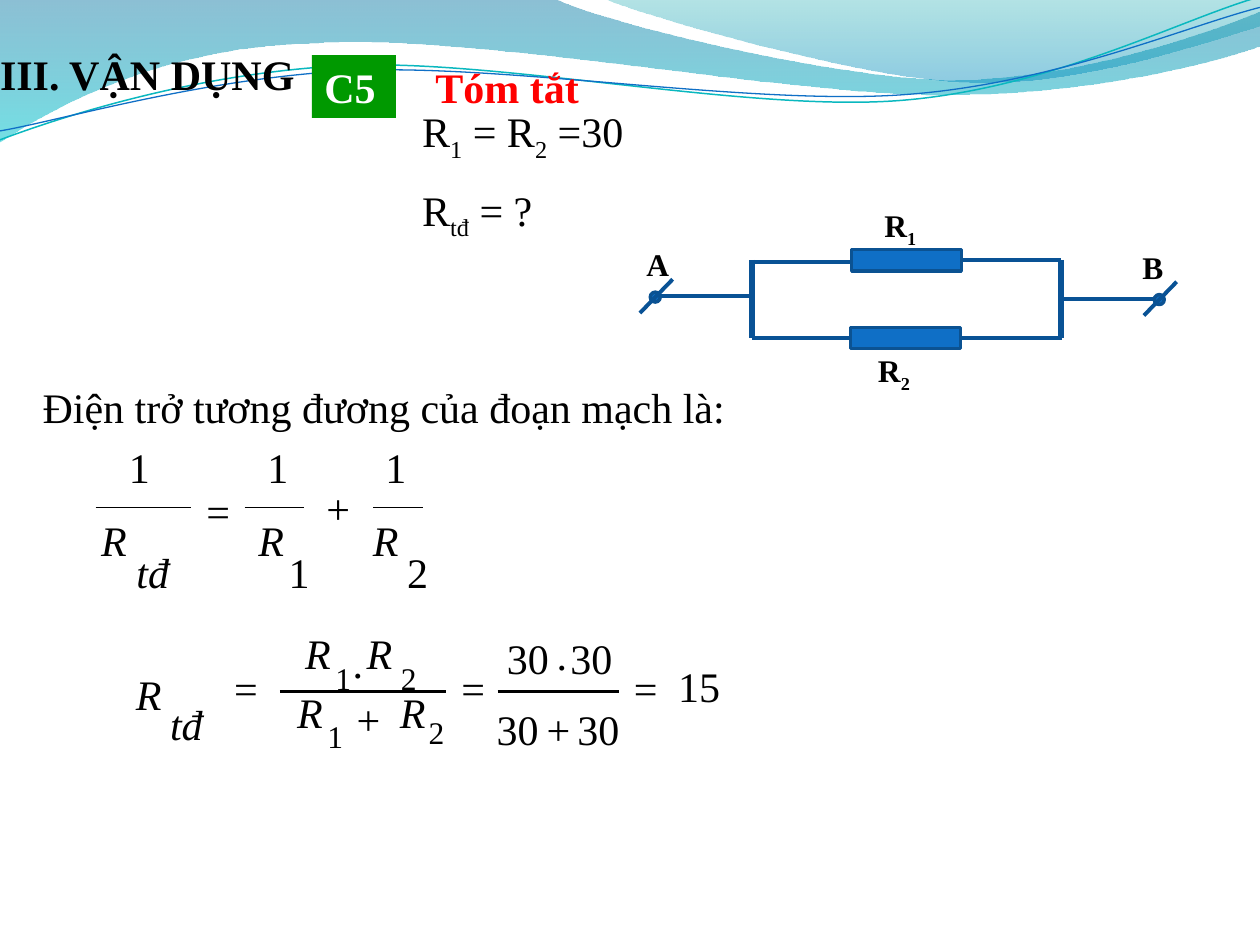
import pptx
import pptx.util
import pptx.dml.color
import pptx.enum.shapes
import pptx.enum.text
import pptx.oxml.ns
from lxml import etree
from pptx.util import Cm, Pt

FONT = "Times New Roman"
BLACK, WHITE, RED, GREEN = "000000", "FFFFFF", "FF0000", "009900"
BLUE, WIRE, OUTLINE = "0F6FC6", "095295", "0B5292"

# Wave outlines in cm: a start point, then line ends (one point) or curves (three points)
FILLED_WAVES = [
    ([[(0, 0)], [(11.18, -0.03)],
      [(12.09, 0.43), (16.87, 1.6), (19.25, 1.6)],
      [(21.67, 1.6), (24.33, 0.66), (25.4, 0.23)], [(25.43, 0.91)],
      [(24.97, 1.12), (22.1, 1.93), (18.95, 1.91)],
      [(15.8, 1.91), (9.7, 0.71), (6.53, 0.86)],
      [(3.28, 0.91), (1.17, 2.11), (-0.03, 2.87)]],
     [("0074A1", 45), ("00C6CF", 55)]),
    ([[(12.17, -0.03)],
      [(12.93, 0.3), (17.32, 1.57), (19.53, 1.65)],
      [(21.74, 1.75), (24.41, 0.81), (25.4, 0.53)], [(25.4, 0)]],
     [("00A1A9", 30), ("008BBF", 45)]),
]
LINE_WAVES = [
    ([[(0, 2.82)], [(1.22, 2.36), (4.01, 1.45), (7.04, 1.32)],
      [(10.03, 1.19), (15.06, 2.26), (18.11, 2.03)],
      [(21.16, 1.8), (23.83, 0.38), (25.35, -0.05)]], "0AB8BF", 0.85),
    ([[(0, 2.64)], [(1.19, 2.44), (4.17, 1.55), (7.19, 1.42)],
      [(10.24, 1.3), (15.16, 2.13), (18.21, 1.91)],
      [(21.23, 1.7), (23.9, 0.53), (25.4, 0.15)]], BLUE, 0.75),
]

TITLE = "III. VẬN DỤNG"
SUMMARY = ["R|1| = R|2| =30", "R|tđ| = ?"]  # odd parts between bars are subscripts
SENTENCE = "Điện trở tương đương của đoạn mạch là:"

# Formula symbols: top, size, [(symbol, left), ...]
FORMULA_ROWS = [
    (8.91, 24, [("1", 2.6), ("1", 5.39), ("1", 7.77)]),
    (9.78, 24, [("=", 4.16)]),
    (9.73, 24, [("+", 6.58)]),
    (10.37, 24, [("R", 2.04), ("R", 5.21), ("R", 7.52)]),
    (11.02, 24, [("tđ", 2.75), ("1", 5.82), ("2", 8.21)]),
    (12.66, 24, [("R", 6.15), ("R", 7.39)]),
    (12.83, 24, [(".", 7.11)]),
    (12.75, 24, [("30", 10.22), ("30", 11.5)]),
    (12.67, 24, [(".", 11.22)]),
    (13.28, 18, [("1", 6.76), ("2", 8.08)]),
    (13.36, 24, [("=", 4.72), ("=", 9.3), ("=", 12.78)]),
    (13.31, 24, [("15", 13.67)]),
    (13.47, 24, [("R", 2.74)]),
    (14.09, 24, [("tđ", 3.43)]),
    (13.84, 24, [("R", 5.99), ("R", 8.06)]),
    (13.99, 24, [("+", 7.19)]),
    (14.45, 18, [("1", 6.6)]),
    (14.38, 18, [("2", 8.64)]),
    (14.18, 24, [("30", 10.01), ("+", 11.02), ("30", 11.64)]),
]
SYMBOL_EMS = {"R": 0.61, "tđ": 1.28, "+": 0.56, "=": 0.56, ".": 0.25, "30": 1, "15": 1}
# left, right, y, weight
FRACTION_BARS = [(1.93, 3.86, 10.23, 1), (4.93, 6.12, 10.23, 0.75), (7.52, 8.53, 10.23, 0.75),
                 (5.64, 8.99, 13.94, 1.38), (10.03, 12.47, 13.94, 1.38)]

# x1, y1, x2, y2, weight
WIRES = [(19.38, 5.24, 21.39, 5.24, 2.25), (15.16, 5.28, 17.17, 5.28, 2.25),
         (21.39, 5.24, 21.39, 6.81, 3), (15.16, 5.24, 15.16, 6.81, 3),
         (21.39, 6.02, 23.39, 6.02, 2.25), (13.16, 5.97, 15.16, 5.97, 2.25),
         (19.4, 6.81, 21.41, 6.81, 2.25), (15.16, 6.81, 17.17, 6.81, 2.25)]
RESISTORS = [(17.17, 5.03), (17.15, 6.6)]
TERMINALS = [(13.21, 5.99), (23.37, 6.04)]
CIRCUIT_LABELS = [("A", 12.78, 4.81), ("B", 22.78, 4.88), ("R|1", 17.58, 4.03), ("R|2", 17.45, 6.96)]

SHAPES = pptx.enum.shapes.MSO_SHAPE
qn = pptx.oxml.ns.qn
deck = pptx.Presentation()
deck.slide_width, deck.slide_height = Cm(25.4), Cm(19.05)
page = deck.slides.add_slide(deck.slide_layouts[5])


def rgb(colour):
    return pptx.dml.color.RGBColor.from_string(colour)


def add_wave(segments, closed):
    """Draw an outline on the slide master; three-point segments become Bézier curves."""
    points = [(Cm(x), Cm(y)) for segment in segments for x, y in segment]
    builder = page.shapes.build_freeform(*points[0], scale=1.0)
    builder.add_line_segments(points[1:], close=closed)
    wave = builder.convert_to_shape()
    wave.shadow.inherit = False
    corners = iter(list(wave.element.iter(qn("a:lnTo"))))
    for segment in segments[1:]:
        steps = [next(corners) for point in segment]
        if len(steps) == 3:
            curve = etree.Element(qn("a:cubicBezTo"))
            steps[0].addprevious(curve)
            for step in steps:
                curve.append(step[0])
                step.getparent().remove(step)
    deck.slide_master.shapes.element.append(wave.element)
    return wave


def add_line(x1, y1, x2, y2, colour, weight):
    line = page.shapes.add_connector(pptx.enum.shapes.MSO_CONNECTOR.STRAIGHT,
                                     Cm(x1), Cm(y1), Cm(x2), Cm(y2))
    line.line.color.rgb, line.line.width = rgb(colour), Pt(weight)
    etree.SubElement(line.element.spPr, qn("a:effectLst"))


def add_shape(kind, left, top, width, height, fill, outline=None):
    shape = page.shapes.add_shape(kind, Cm(left), Cm(top), Cm(width), Cm(height))
    shape.shadow.inherit = False
    shape.fill.solid()
    shape.fill.fore_color.rgb = rgb(fill)
    if outline:
        shape.line.color.rgb, shape.line.width = rgb(outline), Pt(2)
    else:
        shape.line.fill.background()
    return shape


def write(box, lines, size=24, colour=BLACK, bold=False, italic=False, gap=12):
    """Fill a shape with left-aligned lines; parts after odd bars become subscripts."""
    frame = box.text_frame
    frame.text = "\n".join([""] * len(lines))
    for index, (para, line) in enumerate(zip(frame.paragraphs, lines)):
        para.alignment = pptx.enum.text.PP_ALIGN.LEFT
        para.space_before = Pt(gap if index else 0)
        for position, part in enumerate(line.split("|")):
            span = para.add_run()
            span.text = part
            font = span.font
            font.name, font.size, font.bold, font.italic = FONT, Pt(size), bold, italic
            font.color.rgb = rgb(colour)
            if position % 2:
                span._r.get_or_add_rPr().set("baseline", "-25000")


def set_margins(frame, left=0, top=0, right=0, bottom=0):
    frame.margin_left, frame.margin_top = Cm(left), Cm(top)
    frame.margin_right, frame.margin_bottom = Cm(right), Cm(bottom)


def add_text(lines, left, top, width, height, wrap=True, **style):
    box = page.shapes.add_textbox(Cm(left), Cm(top), Cm(width), Cm(height))
    box.text_frame.word_wrap = wrap
    write(box, lines, **style)
    return box


for segments, stops in FILLED_WAVES:
    wave = add_wave(segments, True)
    wave.line.fill.background()
    wave.fill.gradient()
    wave.fill.gradient_angle = 270
    for stop, (colour, opacity) in zip(wave.fill.gradient_stops, stops):
        stop.color.rgb = rgb(colour)
    for node, (colour, opacity) in zip(wave.element.spPr.iter(qn("a:srgbClr")), stops):
        etree.SubElement(node, qn("a:alpha"), val=str(opacity * 1000))
for segments, colour, weight in LINE_WAVES:
    wave = add_wave(segments, False)
    wave.fill.background()
    wave.line.color.rgb, wave.line.width = rgb(colour), Pt(weight)

badge = add_shape(SHAPES.RECTANGLE, 6.29, 1.11, 1.69, 1.27, GREEN)
badge.text_frame.vertical_anchor = pptx.enum.text.MSO_ANCHOR.TOP
write(badge, ["C5"], colour=WHITE, bold=True)
add_text(["Tóm tắt"], 8.53, 1.12, 3.43, 1.27, wrap=False, colour=RED, bold=True)
add_text(SUMMARY, 8.26, 2.01, 6.78, 2.82)
add_text([SENTENCE], 0.61, 7.57, 17.86, 1.27)

for top, size, symbols in FORMULA_ROWS:
    em = size * 2.54 / 72
    for symbol, left in symbols:
        box = add_text([symbol], left, top, SYMBOL_EMS.get(symbol, 0.5) * em, 1.2 * em,
                       wrap=False, size=size, italic=symbol in ("R", "tđ"))
        set_margins(box.text_frame)
for left, right, y, weight in FRACTION_BARS:
    add_line(left, y, right, y, BLACK, weight)

for x1, y1, x2, y2, weight in WIRES:
    add_line(x1, y1, x2, y2, WIRE, weight)
for left, top in RESISTORS:
    add_shape(SHAPES.RECTANGLE, left, top, 2.21, 0.43, BLUE, OUTLINE)
for x, y in TERMINALS:
    add_shape(SHAPES.OVAL, x - 0.1, y - 0.1, 0.2, 0.2, BLUE, OUTLINE)
    add_line(x + 0.35, y - 0.36, x - 0.31, y + 0.32, WIRE, 2.25)
for label, left, top in CIRCUIT_LABELS:
    add_text([label], left, top, 1.4, 1.02, size=18, bold=True)

title = page.shapes.title
title.left, title.top, title.width, title.height = Cm(0), Cm(0.64), Cm(7.82), Cm(1.35)
title.text_frame.vertical_anchor = pptx.enum.text.MSO_ANCHOR.BOTTOM
set_margins(title.text_frame, top=0.13)
write(title, [TITLE], bold=True)
title.element.getparent().append(title.element)  # in front of everything

deck.save("out.pptx")
